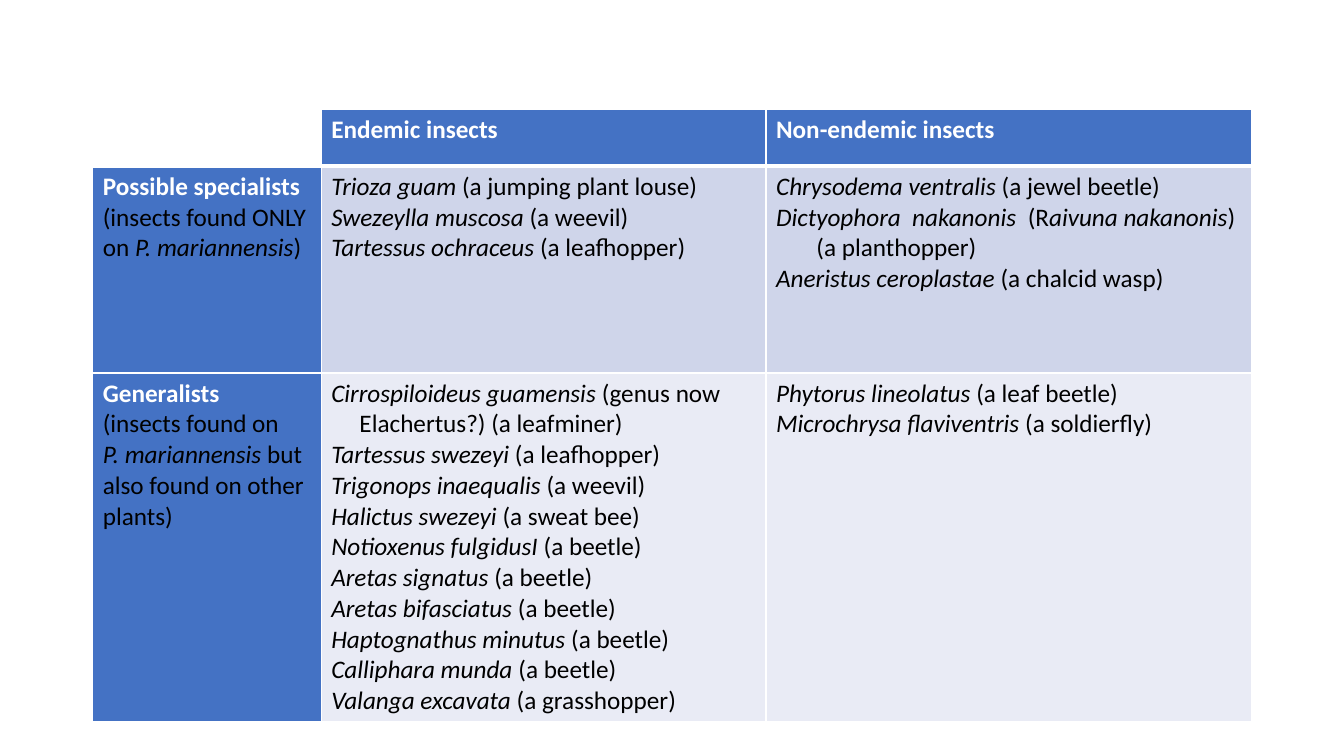
from dataclasses import dataclass

from lxml.etree import SubElement
from pptx import Presentation
from pptx.dml.color import RGBColor
from pptx.oxml.ns import qn
from pptx.util import Emu, Inches, Pt

COLORS = {
    "white": "FFFFFF",
    "black": "000000",
    "header": "4472C4",
    "specialists": "CFD5EA",
    "generalists": "E9EBF5",
}
SLIDE_WIDTH, SLIDE_HEIGHT = Inches(13.33), Inches(7.5)
TABLE_LEFT, TABLE_TOP = 6.9, 14.5
COLUMN_SHARES = (17, 33.1, 36.15)
ROW_SHARES = (7.5, 27.35, 45.3)
FONT_NAME, FONT_SIZE = "Calibri", Pt(18)
ITALIC_MARK = "*"


@dataclass(frozen=True)
class Line:
    text: str
    indent: float = 0
    heading: bool = False


@dataclass(frozen=True)
class CellContent:
    fill: str
    lines: tuple[Line, ...] = ()


def across(share: float) -> Emu:
    return Emu(round(SLIDE_WIDTH * share / 100))


def down(share: float) -> Emu:
    return Emu(round(SLIDE_HEIGHT * share / 100))


def heading(text: str) -> Line:
    return Line(text, heading=True)


def species(name: str, description: str) -> Line:
    return Line(f"*{name}* ({description})")


ROWS = (
    (
        CellContent("white"),
        CellContent("header", (heading("Endemic insects"),)),
        CellContent("header", (heading("Non-endemic insects"),)),
    ),
    (
        CellContent("header", (
            heading("Possible specialists"),
            Line("(insects found ONLY on *P. mariannensis*)"),
        )),
        CellContent("specialists", (
            species("Trioza guam", "a jumping plant louse"),
            species("Swezeylla muscosa", "a weevil"),
            species("Tartessus ochraceus", "a leafhopper"),
        )),
        CellContent("specialists", (
            species("Chrysodema ventralis", "a jewel beetle"),
            Line("*Dictyophora  nakanonis*  (R*aivuna nakanonis*)"),
            Line("(a planthopper)", indent=0.4),
            species("Aneristus ceroplastae", "a chalcid wasp"),
        )),
    ),
    (
        CellContent("header", (
            heading("Generalists"),
            Line("(insects found on"),
            Line("*P. mariannensis* but also found on other plants)"),
        )),
        CellContent("generalists", (
            Line("*Cirrospiloideus guamensis* (genus now"),
            Line("Elachertus?) (a leafminer)", indent=0.28),
            species("Tartessus swezeyi", "a leafhopper"),
            species("Trigonops inaequalis", "a weevil"),
            species("Halictus swezeyi", "a sweat bee"),
            species("Notioxenus fulgidusI", "a beetle"),
            species("Aretas signatus", "a beetle"),
            species("Aretas bifasciatus", "a beetle"),
            species("Haptognathus minutus", "a beetle"),
            species("Calliphara munda", "a beetle"),
            species("Valanga excavata", "a grasshopper"),
        )),
        CellContent("generalists", (
            species("Phytorus lineolatus", "a leaf beetle"),
            species("Microchrysa flaviventris", "a soldierfly"),
        )),
    ),
)


def draw_borders(cell, row_index: int) -> None:
    properties = cell._tc.get_or_add_tcPr()
    widths = {
        "a:lnL": 1,
        "a:lnR": 1,
        "a:lnT": 3 if row_index == 1 else 1,
        "a:lnB": 3 if row_index == 0 else 1,
    }
    for side, width in widths.items():
        border = SubElement(properties, qn(side), w=str(Pt(width)))
        fill = SubElement(border, qn("a:solidFill"))
        SubElement(fill, qn("a:srgbClr"), val=COLORS["white"])


def write_line(para, line: Line) -> None:
    if line.indent:
        para._p.get_or_add_pPr().set("marL", str(Inches(line.indent)))
    for position, text in enumerate(line.text.split(ITALIC_MARK)):
        if not text:
            continue
        span = para.add_run()
        span.text = text
        span.font.name = FONT_NAME
        span.font.size = FONT_SIZE
        span.font.bold = line.heading
        span.font.italic = position % 2 == 1
        color = COLORS["white" if line.heading else "black"]
        span.font.color.rgb = RGBColor.from_string(color)


def fill_cell(cell, content: CellContent, row_index: int) -> None:
    draw_borders(cell, row_index)
    cell.fill.solid()
    cell.fill.fore_color.rgb = RGBColor.from_string(COLORS[content.fill])
    frame = cell.text_frame
    for index, line in enumerate(content.lines):
        para = frame.paragraphs[0] if index == 0 else frame.add_paragraph()
        write_line(para, line)


def add_insect_table(page) -> None:
    table = page.shapes.add_table(
        len(ROW_SHARES), len(COLUMN_SHARES),
        across(TABLE_LEFT), down(TABLE_TOP),
        across(sum(COLUMN_SHARES)), down(sum(ROW_SHARES)),
    ).table
    table.first_row = False
    table.horz_banding = False
    for column, share in zip(table.columns, COLUMN_SHARES):
        column.width = across(share)
    for row, share in zip(table.rows, ROW_SHARES):
        row.height = down(share)
    for row_index, contents in enumerate(ROWS):
        for column_index, content in enumerate(contents):
            fill_cell(table.cell(row_index, column_index), content, row_index)


def main() -> None:
    deck = Presentation()
    deck.slide_width, deck.slide_height = SLIDE_WIDTH, SLIDE_HEIGHT
    page = deck.slides.add_slide(deck.slide_layouts.get_by_name("Blank"))
    add_insect_table(page)
    deck.save("out.pptx")


if __name__ == "__main__":
    main()
